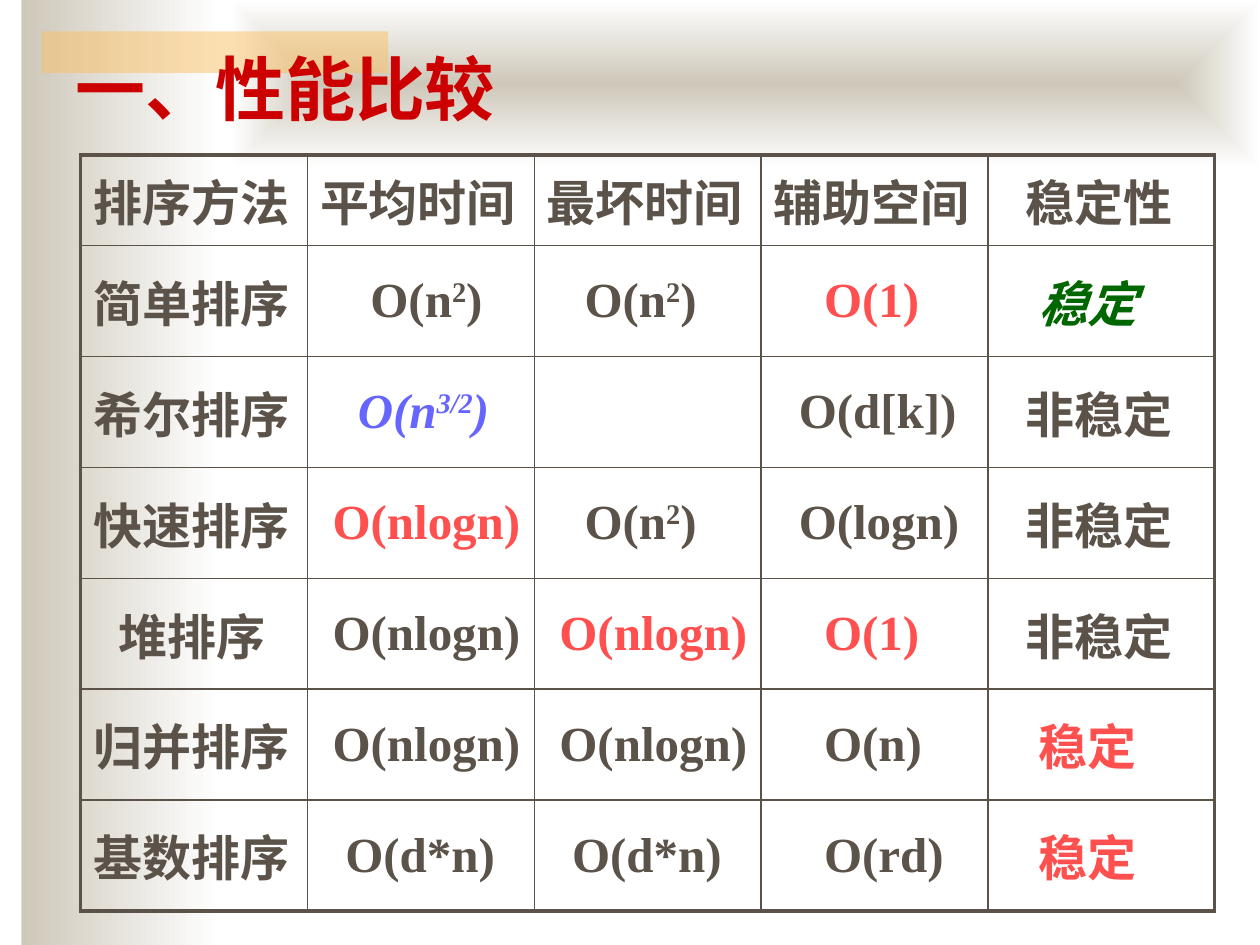
from lxml import etree
from pptx import Presentation, util as u
from pptx.dml.color import RGBColor
from pptx.enum import shapes, text
from pptx.oxml.ns import qn

BROWN = RGBColor(0x5B, 0x52, 0x49)
RED = RGBColor(0xFF, 0x50, 0x50)
GREEN = RGBColor(0x00, 0x66, 0x00)
BLUE = RGBColor(0x66, 0x66, 0xFF)
TITLE_RED = RGBColor(0xCC, 0x00, 0x00)
SAND = RGBColor(0xCE, 0xC8, 0xBA)
ORANGE = RGBColor(0xFA, 0xC1, 0x64)
WHITE = RGBColor(0xFF, 0xFF, 0xFF)
FONT = "Times New Roman"

TITLE = "一、性能比较"
# Each cell: indent steps, text ("^" switches superscript on and off), colour, italic.
N_SQUARED = "O(n^2^)"
UNSTABLE = (2, "非稳定")
STABLE = (3, "稳定", RED)
N_LOG_N = (1, "O(nlogn)")
CONSTANT = (4, "O(1)", RED)
ROWS = [
    [(0, "排序方法"), (0, "平均时间"), (0, "最坏时间"), (0, "辅助空间"), (2, "稳定性")],
    [(0, "简单排序"), (4, N_SQUARED), (3, N_SQUARED), CONSTANT, (3, "稳定", GREEN, True)],
    [(0, "希尔排序"), (3, "O(n^3/2^)", BLUE, True), None, (2, "O(d[k])"), UNSTABLE],
    [(0, "快速排序"), (*N_LOG_N, RED), (3, N_SQUARED), (2, "O(logn)"), UNSTABLE],
    [(2, "堆排序"), N_LOG_N, (*N_LOG_N, RED), CONSTANT, UNSTABLE],
    [(0, "归并排序"), N_LOG_N, N_LOG_N, (4, "O(n)"), STABLE],
    [(0, "基数排序"), (2, "O(d*n)"), (2, "O(d*n)"), (4, "O(rd)"), STABLE],
]
COLUMN_WIDTH, HEADER_HEIGHT, ROW_HEIGHT = 1.8, 0.72, 0.88
MARGIN = INDENT_STEP = 0.1
THIN, THICK = 1, 2.25


def add_child(parent, tag, **attributes):
    return etree.SubElement(parent, qn(tag), attributes)


def add_band(slide, left, top, width, height):
    band = slide.shapes.add_shape(shapes.MSO_SHAPE.RECTANGLE,
                                  *map(u.Inches, (left, top, width, height)))
    band.shadow.inherit = False
    band.line.fill.background()
    return band


def fill_gradient(band):
    band.fill.gradient()
    band.fill.gradient_angle = 0
    for stop, color in zip(band.fill.gradient_stops, (SAND, WHITE)):
        stop.color.rgb = color


def add_background(slide):
    fill_gradient(add_band(slide, 0.17, 0, 1.58, 7.5))

    header = add_band(slide, 1.83, 0, 8.17, 1.33)
    fill_gradient(header)
    gradient = header._element.spPr.find(qn("a:gradFill"))
    gradient.remove(gradient.find(qn("a:lin")))
    center = add_child(gradient, "a:path", path="shape")
    add_child(center, "a:fillToRect", l="50000", t="50000", r="50000", b="50000")

    accent = add_band(slide, 0.33, 0.25, 2.75, 0.33)
    accent.fill.solid()
    accent.fill.fore_color.rgb = ORANGE
    color = accent._element.spPr.find(qn("a:solidFill"))[0]
    add_child(color, "a:alpha", val="50000")


def add_run(paragraph, words, size, color, italic=False):
    run = paragraph.add_run()
    run.text = words
    font = run.font
    font.name, font.size, font.bold, font.italic = FONT, u.Pt(size), True, italic
    font.color.rgb = color
    return run


def draw_borders(cell, row, column):
    """Thick lines on the outside of the table, thin ones within."""
    outer = {"L": column == 0, "R": column == len(ROWS[0]) - 1,
             "T": row == 0, "B": row == len(ROWS) - 1}
    properties = cell._tc.get_or_add_tcPr()
    for side, is_outer in outer.items():
        width = u.Pt(THICK if is_outer else THIN)
        line = add_child(properties, "a:ln" + side, w=str(int(width)))
        add_child(add_child(line, "a:solidFill"), "a:srgbClr", val=str(BROWN))


def write_cell(cell, space_before, indent, words, color=BROWN, italic=False):
    cell.margin_left = u.Inches(MARGIN + indent * INDENT_STEP)
    paragraph = cell.text_frame.paragraphs[0]
    spacing = add_child(paragraph._p.get_or_add_pPr(), "a:spcBef")
    add_child(spacing, "a:spcPct", val=str(space_before * 1000))
    for index, part in enumerate(words.split("^")):
        run = add_run(paragraph, part, 28, color, italic)
        if index % 2:
            run._r.get_or_add_rPr().set("baseline", "30000")


def add_comparison_table(slide):
    heights = [HEADER_HEIGHT] + [ROW_HEIGHT] * (len(ROWS) - 1)
    columns = len(ROWS[0])
    frame = slide.shapes.add_table(
        len(ROWS), columns, u.Inches(0.64), u.Inches(1.23),
        u.Inches(COLUMN_WIDTH * columns), u.Inches(sum(heights)))
    table = frame.table
    table.first_row = table.horz_banding = False
    for column in table.columns:
        column.width = u.Inches(COLUMN_WIDTH)
    for row_index, (cells, height) in enumerate(zip(ROWS, heights)):
        table.rows[row_index].height = u.Inches(height)
        for column_index, content in enumerate(cells):
            cell = table.cell(row_index, column_index)
            cell.vertical_anchor = text.MSO_ANCHOR.MIDDLE
            draw_borders(cell, row_index, column_index)
            cell.fill.background()
            if content:
                write_cell(cell, 20 if row_index else 50, *content)


def add_title(slide):
    box = slide.shapes.add_textbox(*map(u.Inches, (0.5, 0.33, 8.5, 0.75)))
    frame = box.text_frame
    frame.word_wrap = True
    frame.vertical_anchor = text.MSO_ANCHOR.BOTTOM
    add_run(frame.paragraphs[0], TITLE, 40, TITLE_RED)


def main():
    presentation = Presentation()
    presentation.slide_width, presentation.slide_height = u.Inches(10), u.Inches(7.5)
    slide = presentation.slides.add_slide(presentation.slide_layouts[6])
    add_background(slide)
    add_comparison_table(slide)
    add_title(slide)
    presentation.save("out.pptx")


if __name__ == "__main__":
    main()
